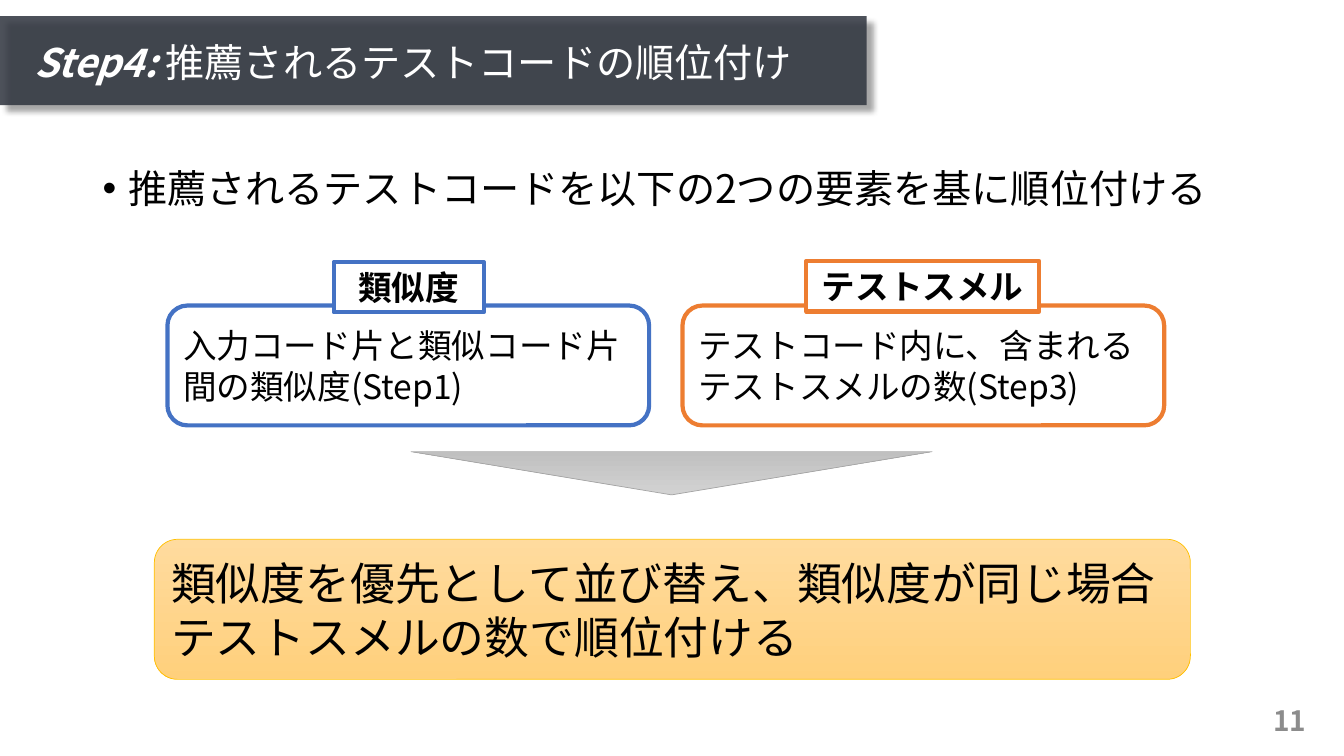
from dataclasses import dataclass

from lxml import etree
from pptx import Presentation
from pptx.dml.color import RGBColor
from pptx.enum.shapes import MSO_SHAPE
from pptx.enum.text import MSO_ANCHOR, PP_ALIGN
from pptx.oxml import parse_xml
from pptx.oxml.ns import nsdecls, qn
from pptx.util import Cm, Pt

RECT = MSO_SHAPE.RECTANGLE
ROUNDED = MSO_SHAPE.ROUNDED_RECTANGLE
TRIANGLE = MSO_SHAPE.ISOSCELES_TRIANGLE
ALTERNATE = MSO_SHAPE.FLOWCHART_ALTERNATE_PROCESS
TOP, MIDDLE = MSO_ANCHOR.TOP, MSO_ANCHOR.MIDDLE
LEFT, CENTER, RIGHT = PP_ALIGN.LEFT, PP_ALIGN.CENTER, PP_ALIGN.RIGHT


@dataclass(frozen=True)
class Theme:
    font: str = "Noto Sans CJK JP"
    black: str = "000000"
    white: str = "FFFFFF"
    band: str = "30353F"
    page: str = "8C8C8C"
    blue: str = "4472C4"
    orange: str = "ED7D31"
    arrow: tuple = ("D2D2D2", "C0C0C0")
    arrow_line: str = "A5A5A5"
    gold: tuple = ("FFDB9E", "FFD07C")
    gold_line: str = "FFC000"
    page_size: int = 20
    card_size: int = 24
    title_size: int = 28
    conclusion_size: int = 32


theme = Theme()


def add_block(preset, box, fill, line=None, line_width=3):
    block = slide.shapes.add_shape(preset, *map(Cm, box))
    block.shadow.inherit = False
    if isinstance(fill, tuple):
        block.fill.gradient()
        block.fill.gradient_angle = 270
        for stop, color in zip(block.fill.gradient_stops, fill):
            stop.color.rgb = RGBColor.from_string(color)
    else:
        block.fill.solid()
        block.fill.fore_color.rgb = RGBColor.from_string(fill)
    if line:
        block.line.color.rgb = RGBColor.from_string(line)
        block.line.width = Pt(line_width)
    else:
        block.line.fill.background()
    return block


def write(holder, runs, size, color=theme.black, align=LEFT, anchor=MIDDLE):
    frame = holder.text_frame
    frame.word_wrap = True
    frame.vertical_anchor = anchor
    paragraph = frame.paragraphs[0]
    paragraph.alignment = align
    for text, bold, italic in runs:
        run = paragraph.add_run()
        run.text = text
        run.font.name = theme.font
        run.font.size = Pt(size)
        run.font.bold = bold
        run.font.italic = italic
        run.font.color.rgb = RGBColor.from_string(color)
        etree.SubElement(run.font._element, qn("a:ea"), typeface=theme.font)
    return paragraph


prs = Presentation()
prs.slide_width, prs.slide_height = Cm(33.87), Cm(19.05)
slide = prs.slides.add_slide(prs.slide_layouts[6])

page_number = slide.shapes.add_textbox(Cm(25.55), Cm(17.65), Cm(7.62), Cm(1.02))
write(page_number, [("11", True, False)], theme.page_size, theme.page, RIGHT)

band = add_block(RECT, (0, 0.41, 21.84, 2.24), theme.band)
band_color = band._element.spPr.find(qn("a:solidFill"))[0]
etree.SubElement(band_color, qn("a:alpha"), val="86000")
effects = band._element.spPr.find(qn("a:effectLst"))
effects.append(parse_xml(
    f'<a:outerShdw {nsdecls("a")} blurRad="{Pt(4)}" dist="{Pt(6)}" dir="2700000" '
    'algn="tl" rotWithShape="0"><a:srgbClr val="000000"><a:alpha val="40000"/>'
    '</a:srgbClr></a:outerShdw>'))

title = slide.shapes.add_textbox(Cm(0.61), Cm(0.61), Cm(21.44), Cm(2.03))
heading = write(title, [("Step4: ", True, True),
                        ("推薦されるテストコードの順位付け", False, False)],
                theme.title_size, theme.white)
heading.line_spacing = 0.9

lead = slide.shapes.add_textbox(Cm(2.34), Cm(4.14), Cm(29.21), Cm(1.6))
lead_line = write(lead, [("推薦されるテストコードを以下の2つの要素を基に順位付ける", False, False)],
                  theme.title_size, anchor=TOP)
lead_line.line_spacing = 0.9
lead_line.space_before = Pt(10)
bullet = lead_line._p.get_or_add_pPr()
bullet.set("marL", str(Cm(0.64)))
bullet.set("indent", str(-Cm(0.64)))
etree.SubElement(bullet, qn("a:buFont"), typeface="Arial")
etree.SubElement(bullet, qn("a:buChar"), char="•")

criteria = [
    (4.22, (8.41, 6.6, 3.78, 1.27), theme.blue, "類似度",
     "入力コード片と類似コード片間の類似度(Step1)"),
    (17.2, (20.32, 6.58, 5.87, 1.27), theme.orange, "テストスメル",
     "テストコード内に、含まれるテストスメルの数(Step3)"),
]
for left, label_box, color, name, description in criteria:
    card = add_block(ROUNDED, (left, 7.7, 12.14, 3.02), theme.white, color)
    write(card, [(description, False, False)], theme.card_size)
    label = add_block(RECT, label_box, theme.white, color)
    write(label, [(name, True, False)], theme.card_size, align=CENTER)

arrow = add_block(TRIANGLE, (10.36, 11.38, 13.13, 1.09), theme.arrow,
                  theme.arrow_line, 0.5)
arrow.rotation = 180

conclusion = add_block(ALTERNATE, (3.89, 13.59, 26.11, 3.53), theme.gold,
                       theme.gold_line, 0.5)
write(conclusion, [("類似度を優先として並び替え、類似度が同じ場合テストスメルの数で順位付ける",
                    False, False)], theme.conclusion_size)

prs.save("out.pptx")
